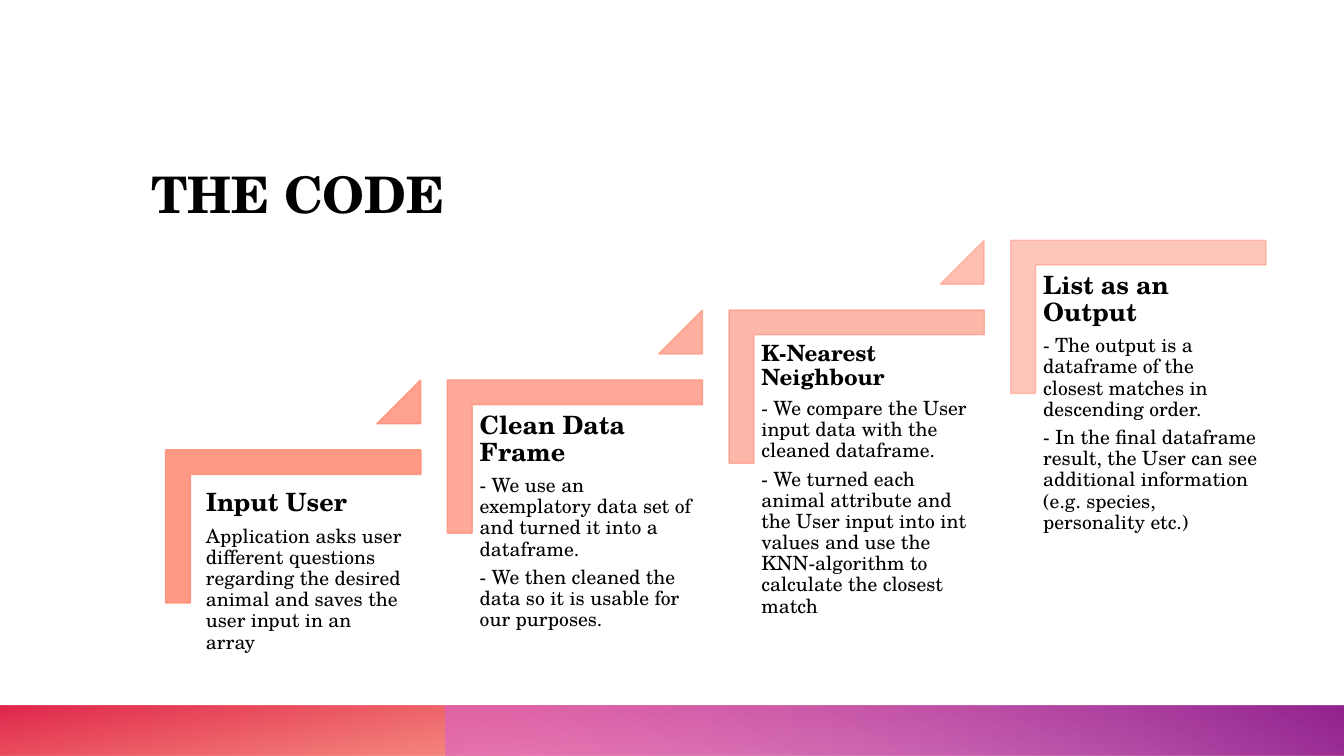
from dataclasses import dataclass

import pptx
import pptx.dml.color
import pptx.enum.shapes
import pptx.enum.text
import pptx.oxml
import pptx.oxml.ns
import pptx.util
from pptx.util import Cm, Pt

SHAPES = pptx.enum.shapes.MSO_SHAPE
ANCHOR = pptx.enum.text.MSO_ANCHOR


@dataclass(frozen=True)
class Theme:
    font: str = "TeX Gyre Schola"
    ink: str = "000000"
    coral: str = "FE8F78"
    title: float = 36
    heading: float = 18
    small_heading: float = 16
    body: float = 14
    warm_band: tuple = ((0, "FE4A00", 28), (14, "FE4A00", 28), (100, "DA002F", 85))
    violet_band: tuple = ((0, "D85FD4", 55), (9, "D85FD4", 55),
                          (99, "92248E", 100), (100, "92248E", 100))


THEME = Theme()

STEPS = [
    ("Input User", THEME.heading, 0.38, [
        "Application asks user different questions regarding the desired animal "
        "and saves the user input in an array"]),
    ("Clean Data Frame", THEME.heading, 0.18, [
        "- We use an exemplatory data set of and turned it into a dataframe.",
        "- We then cleaned the data so it is usable for our purposes."]),
    ("K-Nearest Neighbour", THEME.small_heading, 0.18, [
        "- We compare the User input data with the cleaned dataframe.",
        "- We turned each animal attribute and the User input into int values "
        "and use the KNN-algorithm to calculate the closest match"]),
    ("List as an Output", THEME.heading, 0.18, [
        "- The output is a dataframe of the closest matches in descending order.",
        "- In the final dataframe result, the User can see additional information "
        "(e.g. species, personality etc.)"]),
]

STEP_RIGHT, STEP_UP = 7.1, 1.76
FADE = 40 / 3


def add_band(slide, left, width, stops, angle, rotation=0):
    band = slide.shapes.add_shape(SHAPES.RECTANGLE, Cm(left), Cm(17.78), Cm(width), Cm(1.27))
    band.shadow.inherit = False
    band.rotation = rotation
    band.line.fill.background()
    properties = band._element.spPr
    properties.xfrm.set("flipH", "1")
    stop_xml = "".join(
        f'<a:gs pos="{position * 1000}"><a:srgbClr val="{color}">'
        f'<a:alpha val="{opacity * 1000}"/></a:srgbClr></a:gs>'
        for position, color, opacity in stops)
    gradient = pptx.oxml.parse_xml(
        f'<a:gradFill {pptx.oxml.ns.nsdecls("a")} rotWithShape="1"><a:gsLst>{stop_xml}</a:gsLst>'
        f'<a:lin ang="{angle * 60000}" scaled="0"/></a:gradFill>')
    properties.prstGeom.addnext(gradient)


def add_coral_shape(slide, kind, left, top, width, height, adjustments, opacity, rotation=0):
    shape = slide.shapes.add_shape(kind, Cm(left), Cm(top), Cm(width), Cm(height))
    shape.shadow.inherit = False
    shape.rotation = rotation
    for index, value in enumerate(adjustments):
        shape.adjustments[index] = value
    coral = pptx.dml.color.RGBColor.from_string(THEME.coral)
    shape.fill.solid()
    shape.fill.fore_color.rgb = coral
    shape.line.color.rgb = coral
    shape.line.width = Pt(1)
    for color in shape._element.spPr.iter(pptx.oxml.ns.qn("a:srgbClr")):
        alpha = color.makeelement(pptx.oxml.ns.qn("a:alpha"), {"val": str(round(opacity * 1000))})
        color.append(alpha)


def add_text(slide, left, top, width, height, inset, anchor):
    frame = slide.shapes.add_textbox(Cm(left), Cm(top), Cm(width), Cm(height)).text_frame
    frame.word_wrap = True
    frame.vertical_anchor = anchor
    frame.margin_left = frame.margin_right = Cm(inset)
    frame.margin_top = frame.margin_bottom = Cm(inset)
    return frame


def write(paragraph, text, size, bold=False):
    paragraph.text = text
    paragraph.font.name = THEME.font
    paragraph.font.size = Pt(size)
    paragraph.font.bold = bold
    paragraph.font.color.rgb = pptx.dml.color.RGBColor.from_string(THEME.ink)


def add_step(slide, number, heading, heading_size, inset, details):
    right, up = number * STEP_RIGHT, number * STEP_UP
    opacity = 90 - number * FADE
    add_coral_shape(slide, SHAPES.CORNER, 5.46 + right, 10.05 - up, 3.86, 6.43,
                    (0.161, 0.161), opacity, rotation=90)
    frame = add_text(slide, 4.81 + right, 11.97 - up, 5.8, 5.08, inset, ANCHOR.TOP)
    write(frame.paragraphs[0], heading, heading_size, bold=True)
    frame.paragraphs[0].line_spacing = 0.9
    gap = heading_size * 0.35
    for detail in details:
        paragraph = frame.add_paragraph()
        write(paragraph, detail, THEME.body)
        paragraph.line_spacing = 0.9
        paragraph.space_before = Pt(gap)
        gap = THEME.body * 0.35
    if number < len(STEPS) - 1:
        add_coral_shape(slide, SHAPES.ISOSCELES_TRIANGLE, 9.5 + right, 9.58 - up, 1.1, 1.1,
                        (1,), opacity - FADE / 2)


def main():
    deck = pptx.Presentation()
    deck.slide_width, deck.slide_height = Cm(33.87), Cm(19.05)
    slide = deck.slides.add_slide(deck.slide_layouts[6])
    add_band(slide, 0, 33.87, THEME.warm_band, 100, rotation=180)
    add_band(slide, 11.22, 22.65, THEME.violet_band, 240)
    title = add_text(slide, 3.81, 2.21, 28.45, 3.43, 0, ANCHOR.BOTTOM)
    write(title.paragraphs[0], "THE CODE", THEME.title, bold=True)
    for number, step in enumerate(STEPS):
        add_step(slide, number, *step)
    deck.save("out.pptx")


if __name__ == "__main__":
    main()
